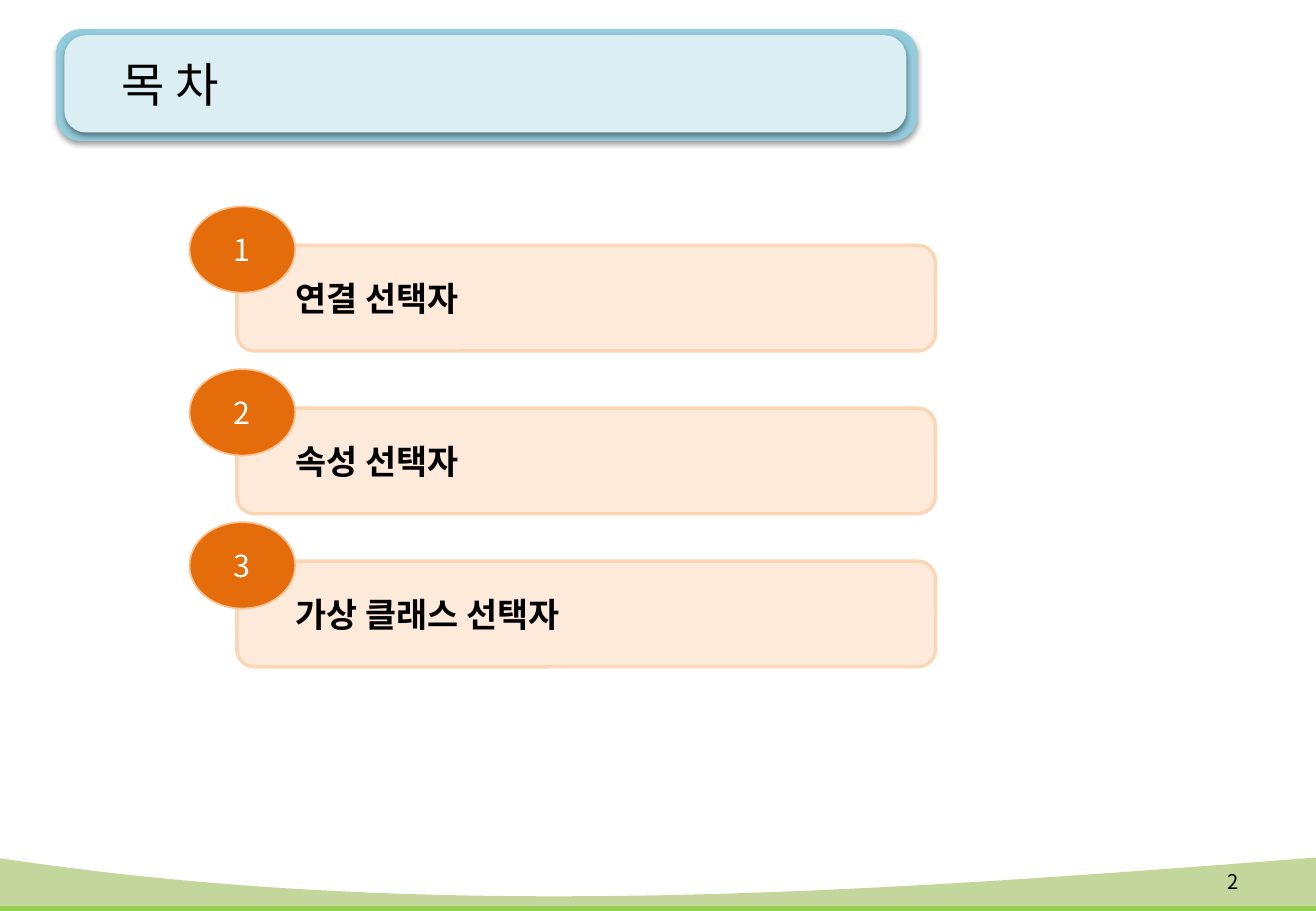
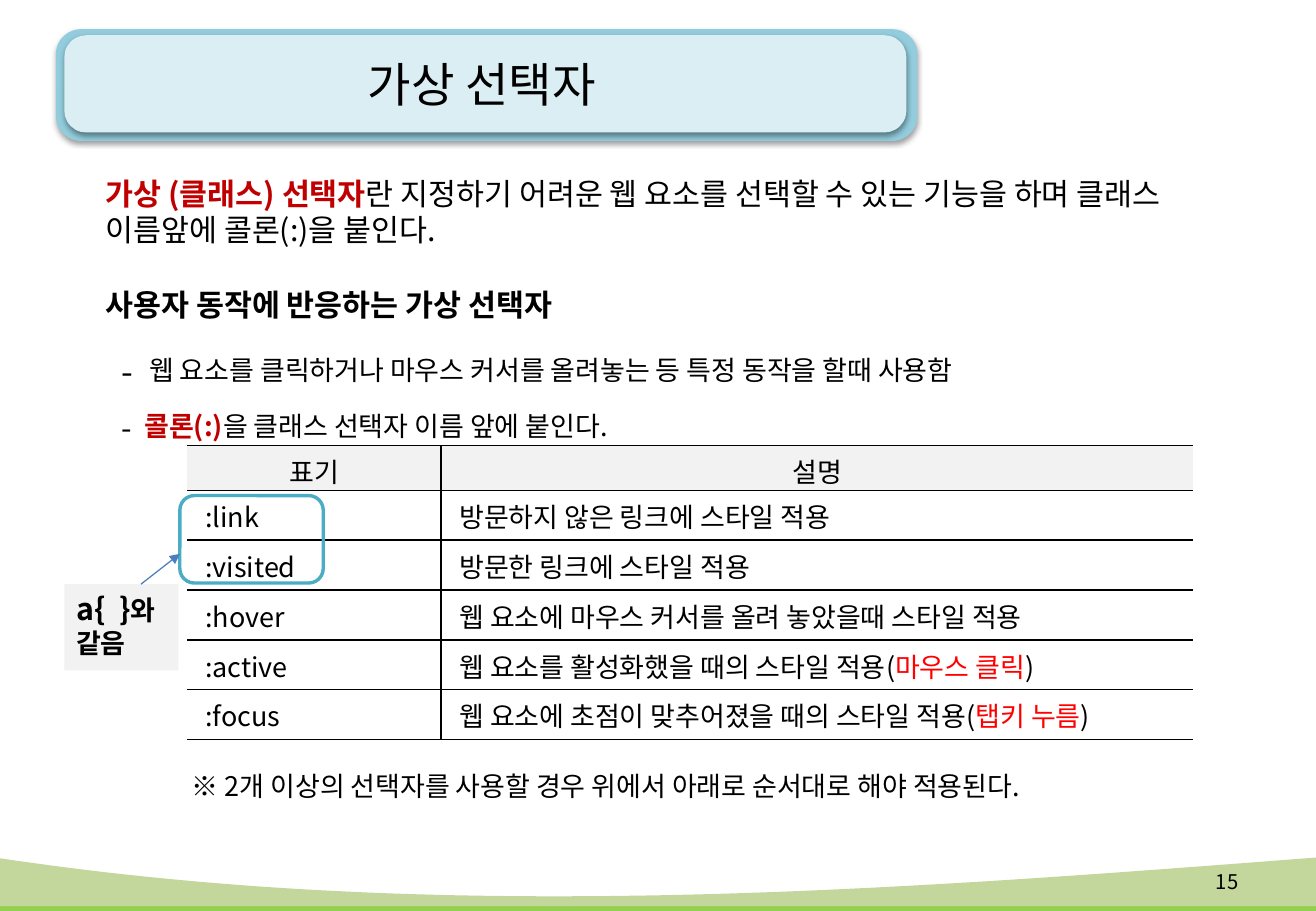
from lxml import etree
from pptx import Presentation
from pptx import util as u
from pptx.dml.color import RGBColor
from pptx.enum import shapes, text
from pptx.oxml import ns, parse_xml

prs = Presentation()
prs.slide_width, prs.slide_height = u.Inches(10.83), u.Inches(7.5)
X, Y = prs.slide_width / 100, prs.slide_height / 100
FONT = "Noto Sans CJK KR"
BLACK, RED, DARK_RED, GREY = "000000", "FF0000", "C00000", "F2F2F2"
ROUND, OVAL, RECT = (shapes.MSO_SHAPE.ROUNDED_RECTANGLE, shapes.MSO_SHAPE.OVAL,
                     shapes.MSO_SHAPE.RECTANGLE)
LEFT, CENTER, RIGHT = text.PP_ALIGN.LEFT, text.PP_ALIGN.CENTER, text.PP_ALIGN.RIGHT
TOP, MIDDLE = text.MSO_ANCHOR.TOP, text.MSO_ANCHOR.MIDDLE
rgb = RGBColor.from_string


def add(s, kind, x, y, w, h, fill=None, line=None, width=2, anchor=TOP, inset=0.1):
    at = [int(v) for v in (x * X, y * Y, w * X, h * Y)]
    sp = s.shapes.add_shape(kind, *at) if kind else s.shapes.add_textbox(*at)
    if fill:
        sp.fill.solid()
        sp.fill.fore_color.rgb = rgb(fill)
    else:
        sp.fill.background()
    if line:
        sp.line.color.rgb = rgb(line)
        sp.line.width = u.Pt(width)
    else:
        sp.line.fill.background()
    sp.shadow.inherit = False
    tf = sp.text_frame
    tf.word_wrap = True
    tf.vertical_anchor = anchor
    tf.margin_left = u.Inches(inset)
    return sp


def write(p, txt, size=16, bold=False, color=BLACK, align=LEFT):
    p.alignment = align
    r = p.add_run()
    r.text = txt
    r.font.size, r.font.bold = u.Pt(size), bold
    r.font.color.rgb = rgb(color)
    r.font.name = FONT
    etree.SubElement(r.font._element, ns.qn("a:ea"), typeface=FONT)


waves = [("92D050", (96.53, 101.33, 99.07, 96.53), 100),
         ("C3D69B", (94.13, 101.47, 97.87, 94.13), 99.47)]
bands = [("93CDDD", 4.25, 3.2, 65.47, 12.27), ("DBEEF4", 4.89, 3.87, 63.99, 10.67)]
headings = [("목 차", "2", LEFT, 0.54), ("가상 선택자", "15", CENTER, 0.1)]
steps = 60

for title, number, align, inset in headings:
    s = prs.slides.add_slide(prs.slide_layouts[6])
    for color, (a, b, c, d), bottom in waves:
        pts = []
        for i in range(steps + 1):
            t = i / steps
            y = a * (1 - t)**3 + 3 * b * t * (1 - t)**2 + 3 * c * t**2 * (1 - t) + d * t**3
            pts.append((round((100.37 * t - 0.37) * X), round(y * Y)))
        pts += [(round(100 * X), round(bottom * Y)), (round(-0.37 * X), round(bottom * Y))]
        fb = s.shapes.build_freeform(*pts[0])
        fb.add_line_segments(pts[1:], close=True)
        wave = fb.convert_to_shape()
        wave.fill.solid()
        wave.fill.fore_color.rgb = rgb(color)
        wave.line.fill.background()
        wave.shadow.inherit = False
    for color, *at in bands:
        sp = add(s, ROUND, *at, fill=color)
        sp.adjustments[0] = 0.225
        sp._element.spPr.find(ns.qn("a:effectLst")).append(parse_xml(
            f'<a:outerShdw {ns.nsdecls("a")} blurRad="{u.Pt(3.1)}" dist="{u.Pt(1.6)}" '
            'dir="5400000" rotWithShape="0"><a:srgbClr val="000000">'
            '<a:alpha val="38000"/></a:srgbClr></a:outerShdw>'))
    sp = add(s, None, 4.25, 2.93, 64.73, 12.53, anchor=MIDDLE, inset=inset)
    write(sp.text_frame.paragraphs[0], title, size=28, align=align)
    sp = add(s, None, 89.38, 94.13, 5.63, 5.33, anchor=MIDDLE)
    write(sp.text_frame.paragraphs[0], number, size=12, align=RIGHT)

agenda, s = prs.slides

topics = [(26.93, "연결 선택자"), (44.8, "속성 선택자"), (61.6, "가상 클래스 선택자")]
for n, (y, topic) in enumerate(topics, 1):
    sp = add(agenda, ROUND, 18, y, 53.09, 11.6, fill="FDEADA", line="FCD5B5",
             anchor=MIDDLE, inset=0.44)
    write(sp.text_frame.paragraphs[0], topic, size=20, bold=True)
    sp = add(agenda, OVAL, 14.4, y - 4.27, 8.03, 9.47, fill="E46C0A", line="FAC090",
             width=1, anchor=MIDDLE)
    write(sp.text_frame.paragraphs[0], str(n), size=18, color="FFFFFF", align=CENTER)

tf = add(s, None, 7.11, 28.8, 87.26, 20.13).text_frame
p = tf.paragraphs[0]
p.line_spacing = 1.5
write(p, "사용자 동작에 반응하는 가상 선택자", size=18, bold=True)
points = [
    (0.36, 125, 8.7, [("웹 요소를 클릭하거나 마우스 커서를 올려놓는 등 특정 동작을 할때 사용함", {})]),
    (0.32, 112, 4.4, [("콜론(:)", dict(bold=True, color=DARK_RED)),
                      ("을 클래스 선택자 이름 앞에 붙인다.", {})]),
]
for left, percent, before, runs in points:
    p = tf.add_paragraph()
    p.line_spacing, p.space_before = 1.5, u.Pt(before)
    pPr = p._p.get_or_add_pPr()
    pPr.set("marL", str(u.Inches(left)))
    pPr.set("indent", str(u.Inches(0.13 - left)))
    clr = etree.SubElement(pPr, ns.qn("a:buClr"))
    etree.SubElement(clr, ns.qn("a:srgbClr"), val=BLACK)
    etree.SubElement(pPr, ns.qn("a:buSzPct"), val=str(percent * 1000))
    etree.SubElement(pPr, ns.qn("a:buFont"), typeface=FONT)
    etree.SubElement(pPr, ns.qn("a:buChar"), char="-")
    for txt, fmt in runs:
        write(p, txt, **fmt)

rows = [
    ("표기", ["설명"]),
    (":link", ["방문하지 않은 링크에 스타일 적용"]),
    (":visited", ["방문한 링크에 스타일 적용"]),
    (":hover", ["웹 요소에 마우스 커서를 올려 놓았을때 스타일 적용"]),
    (":active", ["웹 요소를 활성화했을 때의 스타일 적용(", "마우스 클릭", ")"]),
    (":focus", ["웹 요소에 초점이 맞추어졌을 때의 스타일 적용(", "탭키 누름", ")"]),
]
widths, heights = [19.3, 57.16], [4.53] + [5.47] * 5
at = (14.22 * X, 48.93 * Y, sum(widths) * X, sum(heights) * Y)
tbl = s.shapes.add_table(len(rows), 2, *[int(v) for v in at]).table
tbl.first_row = tbl.horz_banding = False
tbl._tbl.tblPr.find(ns.qn("a:tableStyleId")).text = "{2D5ABB26-0587-4C30-8999-92F81FD0307C}"
for col, w in zip(tbl.columns, widths):
    col.width = int(w * X)
for i, (selector, description) in enumerate(rows):
    tbl.rows[i].height = int(heights[i] * Y)
    for j, runs in enumerate(([selector], description)):
        cell = tbl.cell(i, j)
        cell.vertical_anchor = MIDDLE
        cell.margin_left = u.Inches(0.15 if i else 0.1)
        for side in ("R", "L")[j] + "TB":
            cell._tc.get_or_add_tcPr().append(parse_xml(
                f'<a:ln{side} {ns.nsdecls("a")} w="{u.Pt(1)}"><a:solidFill>'
                f'<a:srgbClr val="{BLACK}"/></a:solidFill></a:ln{side}>'))
        if i:
            cell.fill.background()
        else:
            cell.fill.solid()
            cell.fill.fore_color.rgb = rgb(GREY)
        for k, txt in enumerate(runs):
            write(cell.text_frame.paragraphs[0], txt, color=RED if k == 1 else BLACK,
                  align=LEFT if i else CENTER)

sp = add(s, None, 13.67, 83.87, 73.41, 4.93)
write(sp.text_frame.paragraphs[0],
      "※ 2개 이상의 선택자를 사용할 경우 위에서 아래로 순서대로 해야 적용된다.")

add(s, ROUND, 13.67, 54.4, 10.9, 9.6, line="4BACC6")
sp = add(s, RECT, 4.89, 64.13, 8.68, 9.47, fill=GREY)
for txt, size in [("a{  }", 18), ("와", 16), (" ", 18), ("같음", 16)]:
    write(sp.text_frame.paragraphs[0], txt, size=size, bold=True)

ends = (10.71 * X, 64.13 * Y, 13.67 * X, 60.8 * Y)
arrow = s.shapes.add_connector(shapes.MSO_CONNECTOR.STRAIGHT, *[int(v) for v in ends])
arrow.line.color.rgb = rgb("4B7EBC")
arrow.line.width = u.Pt(0.75)
spPr = arrow._element.spPr
etree.SubElement(spPr.find(ns.qn("a:ln")), ns.qn("a:tailEnd"), type="triangle")
etree.SubElement(spPr, ns.qn("a:effectLst"))

p = add(s, None, 7.11, 18.53, 87.26, 9.47).text_frame.paragraphs[0]
write(p, "가상 (클래스) 선택자", size=18, bold=True, color=DARK_RED)
write(p, "란 지정하기 어려운 웹 요소를 선택할 수 있는 기능을 하며 클래스 이름앞에 콜론(:)을 붙인다.",
      size=18)

prs.save("out.pptx")
